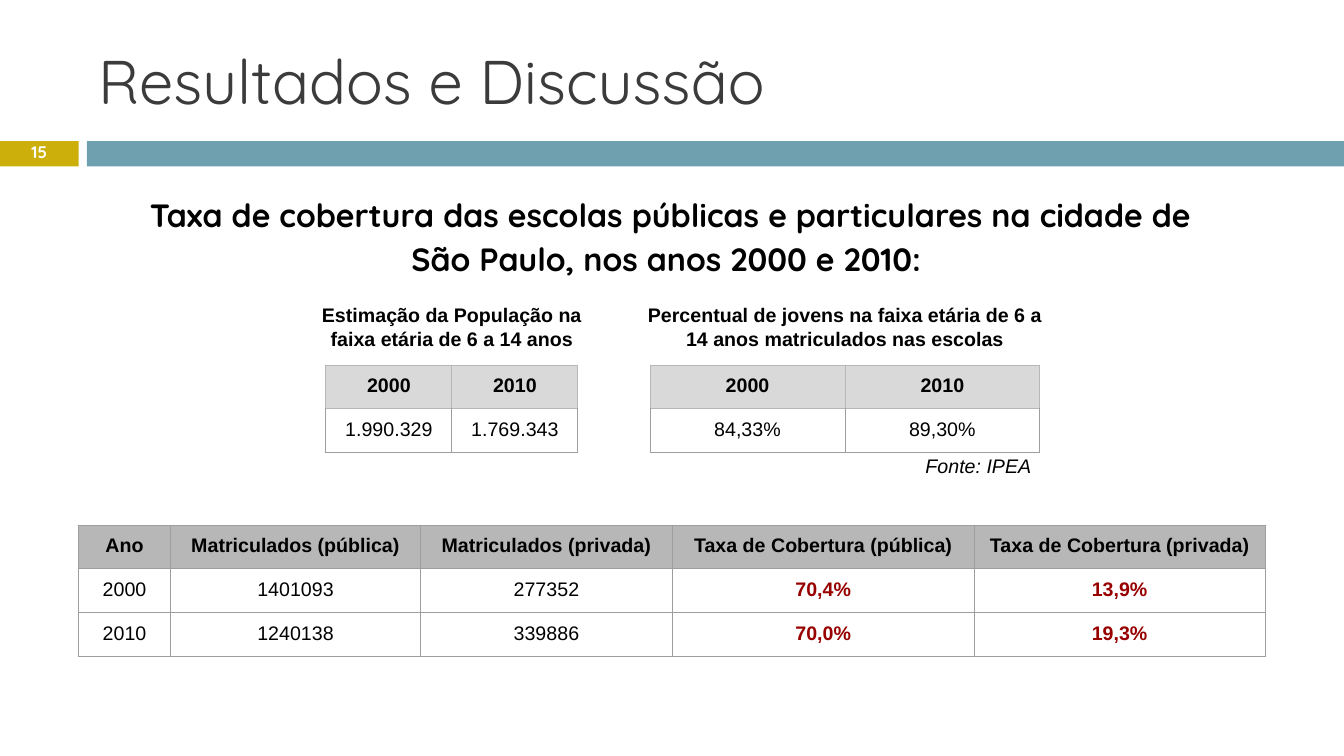
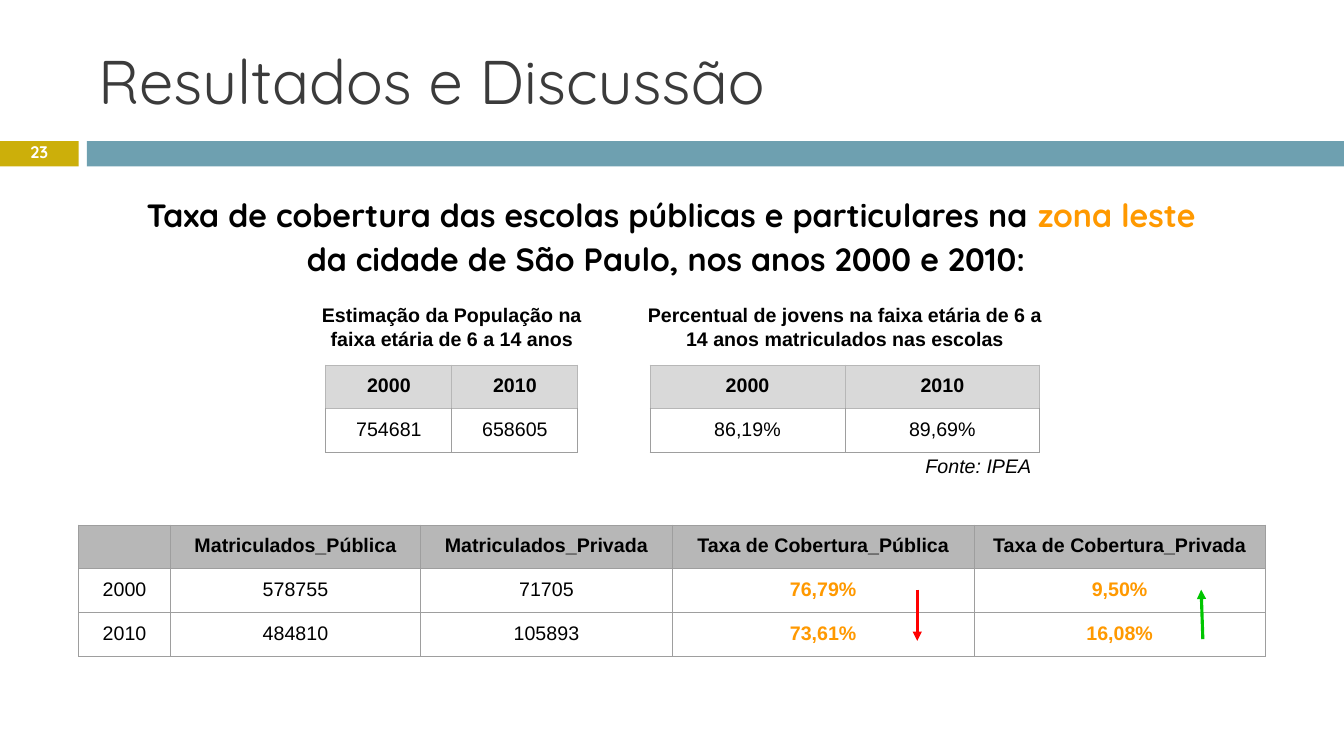
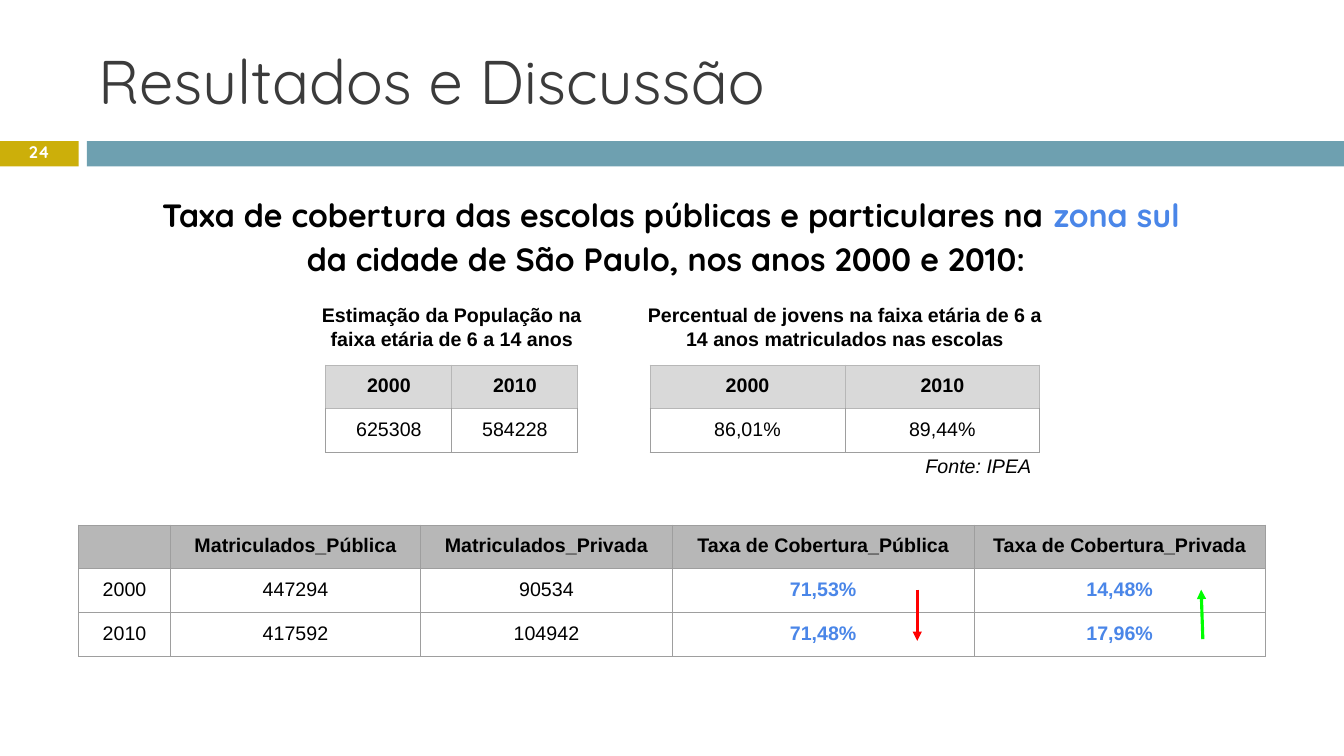
from lxml.etree import SubElement
from pptx import Presentation
from pptx.dml.color import RGBColor
from pptx.enum.shapes import MSO_CONNECTOR as Line, MSO_SHAPE as Preset
from pptx.enum.text import MSO_ANCHOR as Anchor, PP_ALIGN as Align
from pptx.oxml.ns import qn
from pptx.util import Inches, Pt

COLUMNS, ROWS = 160, 90
CELL = Inches(7.5) / ROWS

WHITE = RGBColor(0xFF, 0xFF, 0xFF)
BLACK = RGBColor(0x00, 0x00, 0x00)
TITLE_GRAY = RGBColor(0x3B, 0x3B, 0x3B)
GOLD = RGBColor(0xCC, 0xAF, 0x0A)
TEAL = RGBColor(0x6E, 0xA0, 0xB0)
LIGHT_GRAY = RGBColor(0xD9, 0xD9, 0xD9)
MID_GRAY = RGBColor(0xB7, 0xB7, 0xB7)
BORDER_GRAY = RGBColor(0x9E, 0x9E, 0x9E)
DARK_RED = RGBColor(0x98, 0x00, 0x00)
ORANGE = RGBColor(0xFF, 0x99, 0x00)
BLUE = RGBColor(0x4A, 0x86, 0xE8)
RED = RGBColor(0xFF, 0x00, 0x00)
GREEN = RGBColor(0x00, 0xC6, 0x00)
BRIGHT_GREEN = RGBColor(0x00, 0xFF, 0x00)

YEARS = ["2000", "2010"]
LEAD = "Taxa de cobertura das escolas públicas e particulares na "
CITY = "cidade de São Paulo, nos anos 2000 e 2010: "
ZONE_HEADER = ["", "Matriculados_Pública", "Matriculados_Privada",
               "Taxa de Cobertura_Pública", "Taxa de Cobertura_Privada"]
COVERAGE_WIDTHS = [10.95, 29.75, 30, 35.9, 34.7]


def grid(*lengths):
    """Turn grid cells into slide units."""
    return [round(length * CELL) for length in lengths]


class Report:
    """Holds the deck, its style and the current page."""

    def __init__(self):
        self.deck = Presentation()
        self.deck.slide_width, self.deck.slide_height = grid(COLUMNS, ROWS)

    def style(self, paragraph, size, color=BLACK, name="Arial", bold=False, align=Align.CENTER):
        font = paragraph.font
        font.size, font.name, font.bold = Pt(size), name, bold
        font.color.rgb = color
        paragraph.alignment = align

    def new_page(self, number):
        self.page = self.deck.slides.add_slide(self.deck.slide_layouts[6])
        label = self.band(0, 9.36, GOLD).text_frame
        label.vertical_anchor = Anchor.MIDDLE
        para = label.paragraphs[0]
        para.text = str(number)
        para.line_spacing = 0.8
        self.style(para, 12, WHITE, "Quicksand", bold=True)
        self.band(10.36, COLUMNS - 10.36, TEAL)
        title = self.text(10.5, 3, 107, 13, ["Resultados e Discussão"], inset=0.05, anchor=Anchor.MIDDLE)
        self.style(title, 44, TITLE_GRAY, "Quicksand", align=Align.LEFT)

    def band(self, left, width, color):
        shape = self.page.shapes.add_shape(Preset.RECTANGLE, *grid(left, 16.8, width, 3))
        shape.shadow.inherit = False
        shape.fill.solid()
        shape.fill.fore_color.rgb = color
        shape.line.fill.background()
        return shape

    def text(self, left, top, width, height, pieces, inset=0.1, anchor=Anchor.TOP):
        """Add a text box with one run per piece and return its paragraph."""
        frame = self.page.shapes.add_textbox(*grid(left, top, width, height)).text_frame
        frame.word_wrap = True
        frame.vertical_anchor = anchor
        frame.margin_top = frame.margin_bottom = Inches(inset)
        para = frame.paragraphs[0]
        for piece in pieces:
            para.add_run().text = piece
        return para

    def heading(self, pieces, accent):
        """Add the subject line; its second piece takes the accent colour."""
        para = self.text(16, 22.7, 127.8, 10.3, pieces, anchor=Anchor.MIDDLE)
        self.style(para, 23, name="Quicksand", bold=True)
        para.line_spacing = 1.15
        para.space_after = Pt(10)
        for span in para.runs[1:2]:
            span.font.color.rgb = accent

    def table(self, left, top, widths, heights, rows, fill, edge, accent=BLACK):
        """Add a table whose columns from the fourth on take the accent colour."""
        table = self.page.shapes.add_table(
            len(rows), len(widths), *grid(left, top, sum(widths), sum(heights))).table
        table.horz_banding = False
        for column, width in zip(table.columns, grid(*widths)):
            column.width = width
        for r, (row, height) in enumerate(zip(table.rows, grid(*heights))):
            row.height = height
            for c, cell in enumerate(row.cells):
                body_edge = BORDER_GRAY if r else edge
                self.borders(cell, body_edge, edge if r < 2 else BORDER_GRAY)
                if r:
                    cell.fill.background()
                else:
                    cell.fill.solid()
                    cell.fill.fore_color.rgb = fill
                if rows[r][c]:
                    cell.margin_left = cell.margin_right = Inches(0.1)
                    cell.margin_top = cell.margin_bottom = Inches(0.1)
                    para = cell.text_frame.paragraphs[0]
                    para.text = rows[r][c]
                    rate = r > 0 and c > 2
                    self.style(para, 14, accent if rate else BLACK, bold=rate or r == 0)

    def borders(self, cell, color, top_color):
        properties = cell._tc.get_or_add_tcPr()
        for side in "LRTB":
            line = SubElement(properties, qn(f"a:ln{side}"), w=str(Pt(0.75)))
            solid = SubElement(line, qn("a:solidFill"))
            SubElement(solid, qn("a:srgbClr"), val=str(top_color if side == "T" else color))

    def year_table(self, left, column, values, caption, caption_width):
        """Add a two-year table with its caption centred above it."""
        caption_left = left + column - caption_width / 2
        para = self.text(caption_left, 34.9, caption_width, 6.6, [caption])
        self.style(para, 14, bold=True)
        self.table(left, 43.45, [column] * 2, [5, 5.25], [YEARS, values], LIGHT_GRAY, MID_GRAY)

    def source(self):
        para = self.text(109, 52.8, 15.8, 5, ["Fonte: IPEA"])
        self.style(para, 14, align=Align.LEFT)
        para.font.italic = True

    def arrow(self, x1, y1, x2, y2, color):
        arrow = self.page.shapes.add_connector(Line.STRAIGHT, *grid(x1, y1, x2, y2))
        arrow.line.color.rgb = color
        arrow.line.width = Pt(2.25)
        SubElement(arrow.line._get_or_add_ln(), qn("a:tailEnd"), type="triangle")
        SubElement(arrow._element.spPr, qn("a:effectLst"))

    def results(self, number, heading, accent, population, enrolled, header, coverage, rise=None):
        """Add one results page; rise is the colour of the upward arrow, if any."""
        self.new_page(number)
        self.heading(heading, accent)
        self.year_table(38.8, 15, population,
                        "Estimação da População na faixa etária de 6 a 14 anos", 37.3)
        self.year_table(77.4, 23.2, enrolled,
                        "Percentual de jovens na faixa etária de 6 a 14 anos matriculados nas escolas", 50.2)
        self.source()
        rows = [header] + [[year, *values] for year, values in zip(YEARS, coverage)]
        self.table(9.36, 62.5, COVERAGE_WIDTHS, [5] * 3, rows, MID_GRAY, BORDER_GRAY, accent)
        if rise:
            self.arrow(109.2, 70.2, 109.2, 76.3, RED)
            self.arrow(143.2, 76.1, 143, 70.2, rise)


def main():
    report = Report()
    report.results(
        15, [LEAD + CITY], DARK_RED, ["1.990.329", "1.769.343"], ["84,33%", "89,30%"],
        ["Ano", "Matriculados (pública)", "Matriculados (privada)",
         "Taxa de Cobertura (pública)", "Taxa de Cobertura (privada)"],
        [["1401093", "277352", "70,4%", "13,9%"], ["1240138", "339886", "70,0%", "19,3%"]])
    report.results(
        23, [LEAD, "zona leste ", "da " + CITY], ORANGE, ["754681", "658605"], ["86,19%", "89,69%"],
        ZONE_HEADER,
        [["578755", "71705", "76,79%", "9,50%"], ["484810", "105893", "73,61%", "16,08%"]], GREEN)
    report.results(
        24, [LEAD, "zona sul ", "da " + CITY], BLUE, ["625308", "584228"], ["86,01%", "89,44%"],
        ZONE_HEADER,
        [["447294", "90534", "71,53%", "14,48%"], ["417592", "104942", "71,48%", "17,96%"]], BRIGHT_GREEN)
    report.deck.save("out.pptx")


if __name__ == "__main__":
    main()
